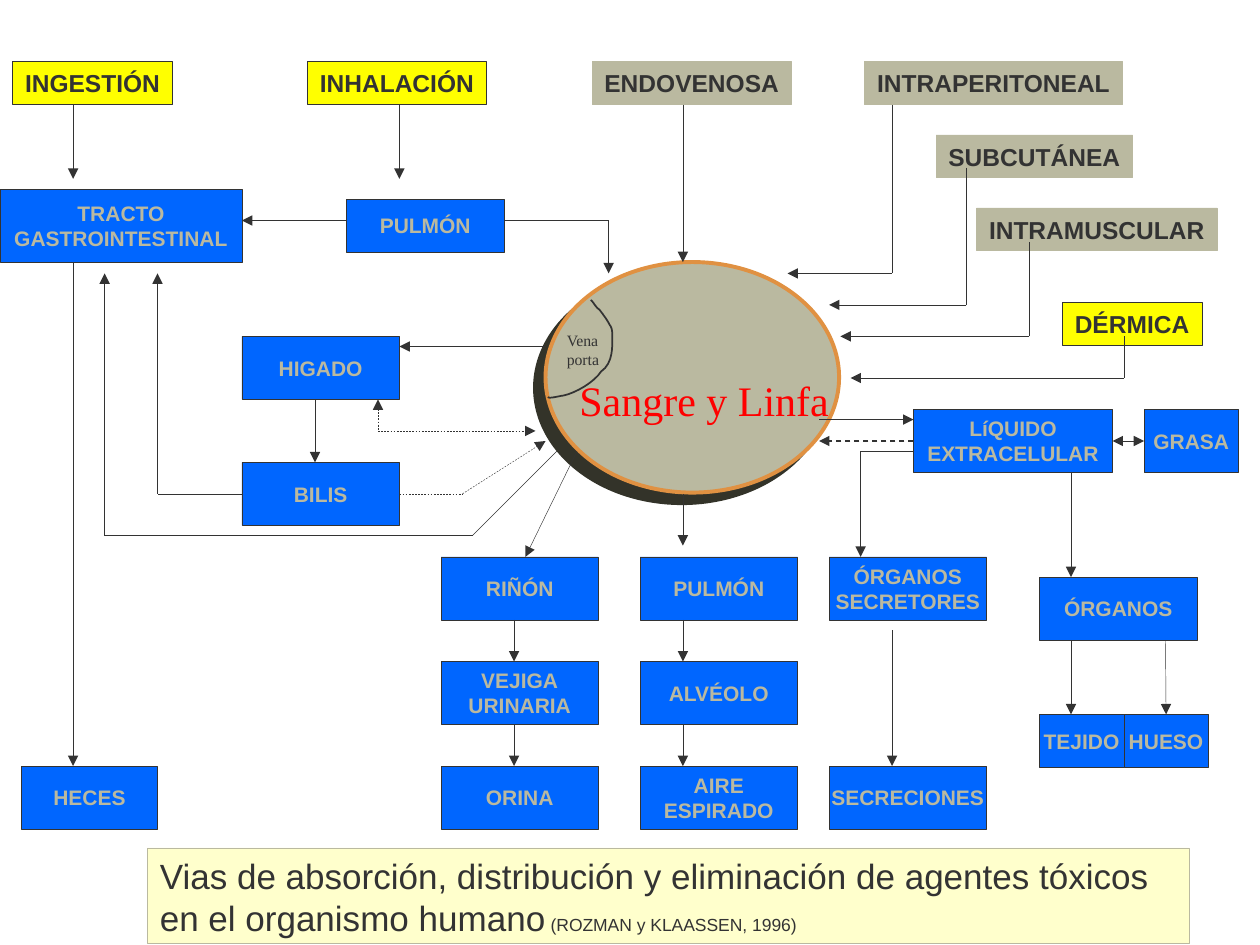
from dataclasses import dataclass
from math import hypot

from lxml.etree import SubElement
from pptx import Presentation
from pptx.dml.color import RGBColor
from pptx.enum.dml import MSO_LINE_DASH_STYLE as Dash
from pptx.enum.shapes import MSO_CONNECTOR as Connector, MSO_SHAPE as Preset
from pptx.enum.text import MSO_ANCHOR as Anchor, MSO_AUTO_SIZE as AutoSize, PP_ALIGN as Align
from pptx.oxml.ns import qn
from pptx.util import Inches, Pt

DARK = RGBColor(0x33, 0x33, 0x33)
SAND = RGBColor(0xBA, 0xB9, 0xA0)
YELLOW = RGBColor(0xFF, 0xFF, 0x00)
BLUE = RGBColor(0x00, 0x66, 0xFF)
CREAM = RGBColor(0xFF, 0xFF, 0xCC)
ORANGE = RGBColor(0xE0, 0x91, 0x42)
RED = RGBColor(0xFF, 0x00, 0x00)
SHADOW = RGBColor(0x33, 0x33, 0x29)
HAIRLINE = 0.25
SANS, SERIF = "Arial", "Times New Roman"


@dataclass(frozen=True)
class Style:
    size: float
    color: RGBColor
    font: str = SANS
    bold: bool = False
    align: Align = Align.LEFT


@dataclass(frozen=True)
class Entry:
    """A route by which a toxic agent enters the body."""
    text: str
    left: float
    top: float
    width: float
    fill: RGBColor = SAND
    line: RGBColor = SAND


@dataclass(frozen=True)
class Organ:
    text: str
    left: float
    top: float
    width: float = 1.25
    height: float = 0.5


@dataclass(frozen=True)
class Route:
    """A path through points; head and tail put arrows at its two ends."""
    points: tuple
    head: bool = False
    tail: bool = True
    dashed: bool = False
    width: float = HAIRLINE


ENTRY_STYLE = Style(14, DARK, bold=True, align=Align.CENTER)
ORGAN_STYLE = Style(12, SAND, bold=True, align=Align.CENTER)

ENTRIES = [
    Entry("INGESTIÓN", 0.1, 0.49, 1.27, YELLOW, DARK),
    Entry("INHALACIÓN", 2.44, 0.49, 1.42, YELLOW, DARK),
    Entry("ENDOVENOSA", 4.7, 0.49, 1.58),
    Entry("INTRAPERITONEAL", 6.86, 0.49, 2.05),
    Entry("SUBCUTÁNEA", 7.43, 1.07, 1.56),
    Entry("INTRAMUSCULAR", 7.75, 1.65, 1.91),
    Entry("DÉRMICA", 8.43, 2.4, 1.11, YELLOW, DARK),
]
COLUMNS = [  # left edge and the organs stacked below it
    (3.5, ("RIÑÓN", "VEJIGA\nURINARIA", "ORINA")),
    (5.08, ("PULMÓN", "ALVÉOLO", "AIRE\nESPIRADO")),
    (6.58, ("ÓRGANOS\nSECRETORES", "", "SECRECIONES")),
]
ROWS = (4.42, 5.25, 6.08)
ORGANS = [
    Organ("TRACTO\nGASTROINTESTINAL", 0, 1.5, 1.92, 0.58),
    Organ("PULMÓN", 2.75, 1.58, height=0.42),
    Organ("HIGADO", 1.92, 2.67),
    Organ("BILIS", 1.92, 3.67),
    Organ("HECES", 0.17, 6.08, 1.08),
    Organ("LíQUIDO\nEXTRACELULAR", 7.25, 3.25, 1.58),
    Organ("GRASA", 9.08, 3.25, 0.75),
    Organ("ÓRGANOS", 8.25, 4.58),
    Organ("TEJIDO", 8.25, 5.67, 0.67, 0.42),
    Organ("HUESO", 8.92, 5.67, 0.67, 0.42),
] + [Organ(name, left, top) for left, names in COLUMNS for top, name in zip(ROWS, names) if name]

ROUTES = [
    Route(((0.58, 0.83), (0.58, 1.42))),
    Route(((3.17, 0.83), (3.17, 1.42))),
    Route(((5.42, 0.83), (5.42, 2.08))),
    Route(((2.75, 1.75), (1.92, 1.75))),
    Route(((4, 1.75), (4.83, 1.75), (4.83, 2.17))),
    Route(((7.08, 0.83), (7.08, 2.17), (6.25, 2.17))),
    Route(((7.67, 1.33), (7.67, 2.42), (6.58, 2.42))),
    Route(((8.17, 1.92), (8.17, 2.67), (6.67, 2.67))),
    Route(((8.92, 2.67), (8.92, 3), (6.75, 3))),
    Route(((4.33, 2.75), (3.17, 2.75))),
    Route(((2.5, 3.17), (2.5, 3.67))),
    Route(((1.92, 3.92), (1.25, 3.92), (1.25, 2.17))),
    Route(((3.17, 3.92), (3.67, 3.92), (4.33, 3.5)), dashed=True),
    Route(((3, 3.17), (3, 3.42), (4.25, 3.42)), head=True, dashed=True),
    Route(((4.42, 3.58), (3.75, 4.25), (0.83, 4.25), (0.83, 2.17))),
    Route(((0.58, 2.08), (0.58, 6.08))),
    Route(((6.5, 3.33), (7.25, 3.33))),
    Route(((7.25, 3.5), (6.5, 3.5)), dashed=True, width=0.75),
    Route(((8.83, 3.5), (9.08, 3.5)), head=True),
    Route(((7.25, 3.58), (6.83, 3.58), (6.83, 4.42))),
    Route(((4.58, 3.58), (4.17, 4.42))),
    Route(((5.42, 3.92), (5.42, 4.33))),
    Route(((7.08, 5), (7.08, 6.08))),
    Route(((8.5, 3.75), (8.5, 4.58))),
    Route(((8.5, 5.08), (8.5, 5.67))),
    Route(((9.25, 5.08), (9.25, 5.67))),
] + [Route(((x, top + 0.5), (x, below))) for x in (4.08, 5.42) for top, below in zip(ROWS, ROWS[1:])]

VEIN_START = (4.69, 2.38)
VEIN_CURVES = [  # two control points and an end point each
    ((4.72, 2.41), (4.72, 2.43), (4.76, 2.46)),
    ((4.79, 2.5), (4.82, 2.54), (4.84, 2.58)),
    ((4.86, 2.6), (4.86, 2.65), (4.86, 2.65)),
    ((4.86, 2.75), (4.87, 2.88), (4.77, 2.95)),
    ((4.72, 3.03), (4.57, 3.12), (4.47, 3.14)),
    ((4.45, 3.14), (4.35, 3.17), (4.35, 3.15)),
]


def add_span(para, text: str, style: Style) -> None:
    span = para.add_run()
    span.text = text
    font = span.font
    font.name, font.size, font.bold = style.font, Pt(style.size), style.bold
    font.color.rgb = style.color


def write(shape, text: str, style: Style, anchor=Anchor.MIDDLE, wrap=False):
    """Fill a shape with one paragraph per line of text; return the last one."""
    frame = shape.text_frame
    frame.word_wrap = wrap
    frame.vertical_anchor = anchor
    frame.auto_size = AutoSize.NONE
    for index, line in enumerate(text.split("\n")):
        para = frame.add_paragraph() if index else frame.paragraphs[0]
        para.alignment = style.align
        add_span(para, line, style)
    return para


def add_box(page, left, top, width, height, fill, line, weight=HAIRLINE, preset=Preset.RECTANGLE):
    box = page.shapes.add_shape(preset, Inches(left), Inches(top), Inches(width), Inches(height))
    box.shadow.inherit = False
    box.fill.solid()
    box.fill.fore_color.rgb = fill
    box.line.color.rgb = line
    box.line.width = Pt(weight)
    return box


def add_blood(page) -> None:
    blood = add_box(page, 4.33, 2.08, 2.33, 1.83, SAND, ORANGE, 2.25, Preset.OVAL)
    effects = blood._element.spPr.find(qn("a:effectLst"))
    shadow = SubElement(effects, qn("a:outerShdw"), dist=str(Pt(8.5)), dir="8100000", algn="ctr", rotWithShape="0")
    SubElement(shadow, qn("a:srgbClr"), val=str(SHADOW))


def join(connect, point: tuple, boxes: list) -> None:
    """Connect a line end to the box side whose middle it touches, if any."""
    x, y = Inches(point[0]), Inches(point[1])
    for box in boxes:
        middle, center = box.left + box.width // 2, box.top + box.height // 2
        sites = ((middle, box.top), (box.left, center),
                 (middle, box.top + box.height), (box.left + box.width, center))
        for site, (site_x, site_y) in enumerate(sites):
            if hypot(site_x - x, site_y - y) < Inches(0.01):
                connect(box, site)
                return


def add_route(page, route: Route, boxes: list) -> None:
    last = len(route.points) - 2
    for index, (start, end) in enumerate(zip(route.points, route.points[1:])):
        link = page.shapes.add_connector(Connector.STRAIGHT, *map(Inches, start + end))
        link.line.color.rgb = DARK
        link.line.width = Pt(route.width)
        if route.dashed:
            link.line.dash_style = Dash.DASH
        outline = link.line._get_or_add_ln()
        if route.head and index == 0:
            SubElement(outline, qn("a:headEnd"), type="triangle")
        if route.tail and index == last:
            SubElement(outline, qn("a:tailEnd"), type="triangle")
        SubElement(link._element.spPr, qn("a:effectLst"))
        join(link.begin_connect, start, boxes)
        join(link.end_connect, end, boxes)


def add_vein(page, steps: int = 8) -> None:
    """Trace the Bézier curves of the portal vein with short segments."""
    builder = page.shapes.build_freeform(*map(Inches, VEIN_START))
    start = VEIN_START
    for curve in VEIN_CURVES:
        points = []
        for t in (step / steps for step in range(1, steps + 1)):
            weights = ((1 - t) ** 3, 3 * t * (1 - t) ** 2, 3 * t * t * (1 - t), t ** 3)
            points.append(tuple(Inches(sum(w * p[axis] for w, p in zip(weights, (start, *curve))))
                                for axis in (0, 1)))
        builder.add_line_segments(points, close=False)
        start = curve[-1]
    vein = builder.convert_to_shape()
    vein.shadow.inherit = False
    vein.fill.background()
    vein.line.color.rgb = DARK
    vein.line.width = Pt(1)


def add_label(page, left, top, width, height, text: str, style: Style) -> None:
    label = page.shapes.add_textbox(Inches(left), Inches(top), Inches(width), Inches(height))
    write(label, text, style, Anchor.TOP)


def main() -> None:
    deck = Presentation()
    deck.slide_width, deck.slide_height = Inches(10), Inches(7.5)
    page = deck.slides.add_slide(deck.slide_layouts[6])
    boxes = []
    for entry in ENTRIES:
        boxes.append(add_box(page, entry.left, entry.top, entry.width, 0.34, entry.fill, entry.line))
        write(boxes[-1], entry.text, ENTRY_STYLE)
    for organ in ORGANS:
        boxes.append(add_box(page, organ.left, organ.top, organ.width, organ.height, BLUE, DARK))
        write(boxes[-1], organ.text, ORGAN_STYLE)
    add_blood(page)
    for route in ROUTES:
        add_route(page, route, boxes)
    add_label(page, 4.5, 2.92, 2.18, 0.5, "Sangre y Linfa", Style(24, RED, SERIF))
    add_vein(page)
    add_label(page, 4.4, 2.58, 0.46, 0.4, "Vena\nporta", Style(9, DARK, SERIF))
    caption = add_box(page, 1.17, 6.73, 8.27, 0.76, CREAM, SAND)
    title = "Vias de absorción, distribución y eliminación de agentes tóxicos en el organismo humano"
    para = write(caption, title, Style(20, DARK), Anchor.TOP, wrap=True)
    add_span(para, " (ROZMAN y KLAASSEN, 1996)", Style(10, DARK))
    deck.save("out.pptx")


if __name__ == "__main__":
    main()
